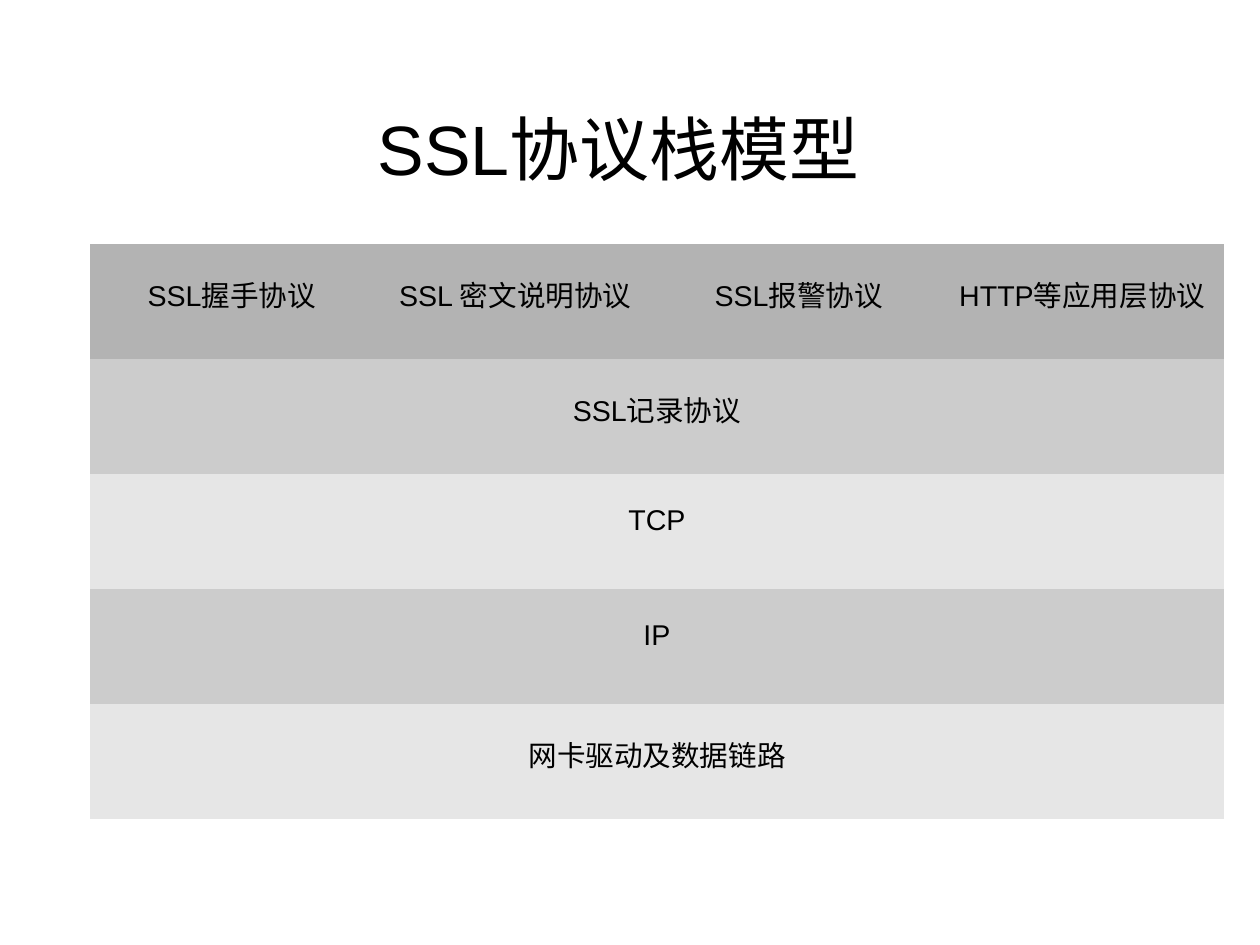
from dataclasses import dataclass

from pptx import Presentation
from pptx.dml.color import RGBColor
from pptx.enum.text import MSO_ANCHOR, MSO_AUTO_SIZE, PP_ALIGN
from pptx.oxml.ns import qn
from pptx.shapes.placeholder import SlidePlaceholder
from pptx.slide import Slide
from pptx.text.text import TextFrame
from pptx.util import Emu, Pt

EMU_PER_PX = 8000
COLUMNS = 4
PLAIN_TABLE_STYLE = "{2D5ABB26-0587-4C30-8999-92F81FD0307C}"
FONT = "Arial"
BLACK = "000000"


@dataclass(frozen=True)
class Layer:
    protocols: tuple[str, ...]
    fill: str


# Protocol stack, from top to bottom
LAYERS = (
    Layer(("SSL握手协议", "SSL 密文说明协议", "SSL报警协议", "HTTP等应用层协议"), "B3B3B3"),
    Layer(("SSL记录协议",), "CCCCCC"),
    Layer(("TCP",), "E6E6E6"),
    Layer(("IP",), "CCCCCC"),
    Layer(("网卡驱动及数据链路",), "E6E6E6"),
)


def px(length: int) -> Emu:
    return Emu(length * EMU_PER_PX)


def color(value: str) -> RGBColor:
    return RGBColor.from_string(value)


def write_text(frame: TextFrame, text: str, size: int, line_spacing: float) -> None:
    paragraph = frame.paragraphs[0]
    paragraph.alignment = PP_ALIGN.CENTER
    paragraph.line_spacing = line_spacing
    run = paragraph.add_run()
    run.text = text
    run.font.name = FONT
    run.font.size = Pt(size)
    run.font.color.rgb = color(BLACK)


def format_title(title: SlidePlaceholder) -> None:
    title.left, title.top = px(90), px(86)
    title.width, title.height = px(1057), px(128)
    frame = title.text_frame
    frame.auto_size = MSO_AUTO_SIZE.NONE
    frame.word_wrap = True
    frame.vertical_anchor = MSO_ANCHOR.MIDDLE
    frame.margin_left = frame.margin_right = frame.margin_bottom = 0
    frame.margin_top = px(5)
    write_text(frame, "SSL协议栈模型", 44, 0.93)


def add_stack_table(slide: Slide) -> None:
    shape = slide.shapes.add_table(
        len(LAYERS), COLUMNS, px(90), px(244), px(1134), px(575)
    )
    # Remove the banded style and its white grid
    for style in shape.element.iter(qn("a:tableStyleId")):
        style.text = PLAIN_TABLE_STYLE
    table = shape.table
    table.first_row = table.horz_banding = False

    for row, layer in enumerate(LAYERS):
        for column in range(COLUMNS):
            cell = table.cell(row, column)
            cell.fill.solid()
            cell.fill.fore_color.rgb = color(layer.fill)
        # A single protocol spans the whole row
        if len(layer.protocols) == 1:
            table.cell(row, 0).merge(table.cell(row, COLUMNS - 1))
        for column, protocol in enumerate(layer.protocols):
            cell = table.cell(row, column)
            cell.vertical_anchor = MSO_ANCHOR.TOP
            cell.margin_top = px(34)
            write_text(cell.text_frame, protocol, 18, 0.87)


def main() -> None:
    presentation = Presentation()
    presentation.slide_width, presentation.slide_height = px(1260), px(945)
    slide = presentation.slides.add_slide(presentation.slide_layouts[5])
    format_title(slide.shapes.title)
    add_stack_table(slide)
    presentation.save("out.pptx")


if __name__ == "__main__":
    main()
